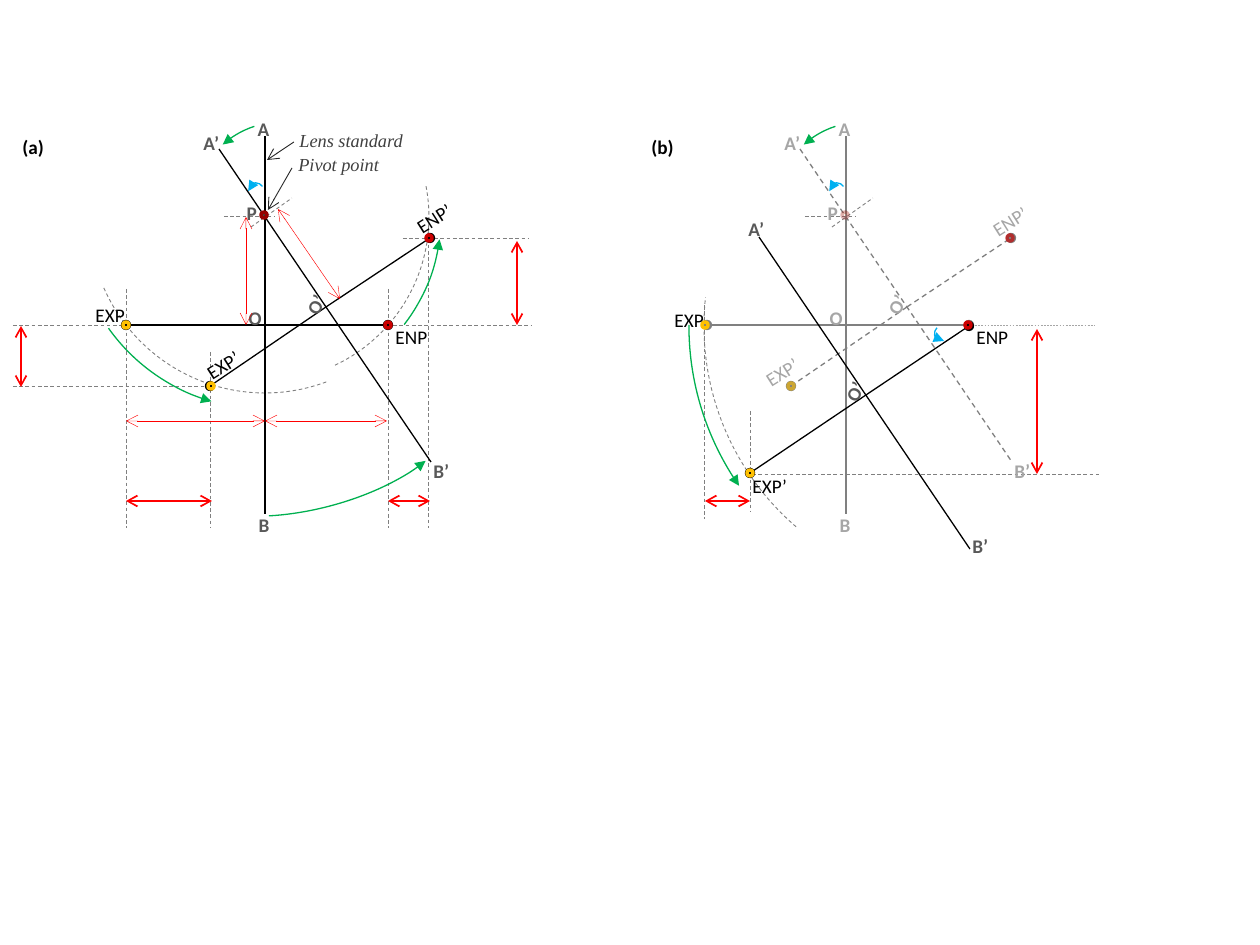
from dataclasses import dataclass
from typing import Any

from lxml import etree
from pptx import Presentation
from pptx import util as u
from pptx.dml.color import RGBColor
from pptx.enum import dml, shapes
from pptx.oxml.ns import qn

PX = 914400 / 126
DASHED = dict(color="808080", width=0.5, dash=True)
GREEN = dict(color="00B050", width=0.75)
BLUE = dict(color="00B0F0", width=0.75)
MEASURE = dict(color="FF0000", head="arrow", tail="arrow")
BLACK, GRAY, DARK, PALE = "000000", "808080", "595959", "A6A6A6"
RED, YELLOW = "CC0000", "FFC000"
PIVOT_STOPS = [(0, "E46C0A"), (50, "FAC090"), (100, "E1E8F5")]


def px(length):
    return u.Emu(round(length * PX))


def rgb(value):
    return RGBColor.from_string(value)


def add_alpha(color_element, percent):
    etree.SubElement(color_element, qn("a:alpha")).set("val", str(percent * 1000))


def set_line(shape, color, width, dash=False, head=None, tail=None, alpha=None):
    line = shape.line
    line.color.rgb = rgb(color)
    line.width = u.Pt(width)
    if dash:
        line.dash_style = dml.MSO_LINE.DASH
    element = shape._element.spPr.find(qn("a:ln"))
    if alpha:
        add_alpha(element.find(".//" + qn("a:srgbClr")), alpha)
    for tag, kind in (("a:headEnd", head), ("a:tailEnd", tail)):
        if kind:
            etree.SubElement(element, qn(tag)).set("type", kind)


@dataclass
class Panel:
    """Draws parts relative to the left and top of one half of the slide."""
    shapes: Any
    left: int
    top: int

    def line(self, x1, y1, x2, y2, color=BLACK, width=0.75, **style):
        connector = self.shapes.add_connector(
            shapes.MSO_CONNECTOR.STRAIGHT, px(self.left + x1), px(self.top + y1),
            px(self.left + x2), px(self.top + y2))
        set_line(connector, color, width, **style)
        etree.SubElement(connector._element.spPr, qn("a:effectLst"))

    def shape(self, kind, x, y, width, height):
        shape = self.shapes.add_shape(
            kind, px(self.left + x), px(self.top + y), px(width), px(height))
        shape.shadow.inherit = False
        shape.fill.background()
        return shape

    def arc(self, box, start, end, rotation=0, flip=False, **style):
        """Angles are in degrees, clockwise from the right."""
        arc = self.shape(shapes.MSO_SHAPE.ARC, *box)
        arc.adjustments[0], arc.adjustments[1] = start * 0.6, end * 0.6
        arc.rotation = rotation
        if flip:
            arc._element.spPr.get_or_add_xfrm().set("flipH", "1")
        set_line(arc, **style)

    def circle_arc(self, x, y, radius, start, end, **style):
        box = (x - radius, y - radius, 2 * radius, 2 * radius)
        self.arc(box, start, end, **style)

    def dot(self, x, y, color, alpha=None, core=False):
        dot = self.shape(shapes.MSO_SHAPE.OVAL, x - 3, y - 3, 6, 6)
        if core:
            dot.fill.solid()
            dot.fill.fore_color.rgb = rgb(BLACK)
        set_line(dot, color, 2, alpha=alpha)
        return dot

    def label(self, text, x, y, width=23, height=34, color=DARK, bold=True,
              rotation=0, size=11, font="Calibri", italic=False):
        box = self.shapes.add_textbox(
            px(self.left + x), px(self.top + y), px(width), px(height))
        box.rotation = rotation
        box.text_frame.word_wrap = True
        para = box.text_frame.paragraphs[0]
        para.text = text
        para.line_spacing = 1.15
        span = para.runs[0].font
        span.name, span.size, span.bold, span.italic = font, u.Pt(size), bold, italic
        span.color.rgb = rgb(color)

    def pupil_label(self, text, x, y, color=BLACK, tilted=False):
        width, height = (63, 39) if tilted else (67, 30)
        self.label(text, x, y, width, height, color, bold=False,
                   rotation=327.6 if tilted else 0)

    def standard_labels(self, a, o, b, color):
        """Labels the ends and the centre of a tilted lens standard."""
        self.label("A’", *a, 44, color=color)
        self.label("O’", *o, 45, color=color, rotation=298)
        self.label("B’", *b, 49, color=color)


def draw_pivot(panel, stop_alphas, line_alpha):
    pivot = panel.dot(264, 215, "960000", line_alpha)
    pivot.fill.gradient()
    pivot.fill.gradient_angle = 270
    stops = pivot._element.spPr.find(".//" + qn("a:gsLst"))
    for old in list(stops):
        stops.remove(old)
    for (position, color), alpha in zip(PIVOT_STOPS, stop_alphas):
        stop = etree.SubElement(stops, qn("a:gs"))
        stop.set("pos", str(position * 1000))
        element = etree.SubElement(stop, qn("a:srgbClr"))
        element.set("val", color)
        add_alpha(element, alpha)


def draw_swing(panel, axis, tilted, letters, dash=False):
    """Draws the lens standard before and after it turns about the pivot."""
    for ends in ((251, 227, 292, 198), (224, 216, 275, 216), (218, 325, 268, 325)):
        panel.line(*ends, **DASHED)
    panel.line(265, 136, 265, 514, axis)
    for pupil in (388, 126):
        panel.line(265, 325, pupil, 325, axis, tail="oval")
    panel.line(219, 149, 431, 462, tilted, dash=dash)
    for pupil in ((430, 238), (210, 386)):
        panel.line(326, 307, *pupil, tilted, dash=dash, tail="oval")
    panel.arc((248, 183, 16, 15), 240.4, 34.7, 29, True, tail="triangle", **BLUE)
    panel.arc((198, 132, 101, 55), 226.8, 296.8, 326.9, True, tail="triangle", **GREEN)
    for text, x, y in (("A", 247, 108), ("B", 248, 504), ("P", 236, 192), ("O", 238, 297)):
        panel.label(text, x, y, color=letters)
    panel.standard_labels((191, 122), (290, 285), (421, 450), letters)
    panel.pupil_label("ENP", 383, 316)


def draw_pivot_swing(panel):
    panel.label("(a)", 10, 126, 53, color=BLACK)
    for ends in ((13, 325, 214, 325), (13, 386, 214, 386), (210, 352, 210, 528),
                 (126, 289, 126, 528), (387, 325, 532, 325), (428, 226, 428, 528),
                 (403, 238, 529, 238), (388, 289, 388, 528)):
        panel.line(*ends, **DASHED)
    panel.circle_arc(265, 217, 176, 69.6, 156.3, **DASHED)
    panel.circle_arc(265, 217, 164, 349.2, 64.8, **DASHED)
    panel.circle_arc(265, 217, 192, 106.2, 144.6, head="triangle", **GREEN)
    panel.circle_arc(265, 217, 176, 7.3, 37.7, head="triangle", **GREEN)
    panel.arc((169, 381, 290, 127), 222.9, 336.9, 165.2, True, tail="triangle", **GREEN)
    draw_swing(panel, BLACK, BLACK, DARK)
    draw_pivot(panel, (31, 32, 10), None)
    for ends in ((387, 421, 265, 421), (265, 421, 126, 421),
                 (246, 217, 246, 325), (278, 209, 340, 299)):
        panel.line(*ends, width=0.25, **MEASURE)
    for ends in ((430, 501, 388, 501), (212, 501, 126, 501),
                 (517, 241, 517, 325), (21, 326, 21, 387)):
        panel.line(*ends, width=1, **MEASURE)
    for text, x, y, width in (("Lens standard", 287, 120, 147), ("Pivot point", 286, 144, 123)):
        panel.label(text, x, y, width, 40, "404040", False, size=10.5,
                    font="Times New Roman", italic=True)
    for ends in ((292, 168, 268, 210), (294, 142, 267, 160)):
        panel.line(*ends, "262626", 0.5, tail="arrow")
    panel.dot(388, 325, RED, core=True)
    panel.dot(429, 238, RED, core=True)
    panel.dot(126, 325, YELLOW)
    panel.dot(211, 386, YELLOW)
    panel.pupil_label("EXP", 83, 294)
    panel.pupil_label("ENP’", 402, 197, tilted=True)
    panel.pupil_label("EXP’", 192, 343, tilted=True)


def draw_pupil_swing(panel):
    panel.circle_arc(388, 326, 265, 130.7, 186.2, **DASHED)
    panel.label("(b)", 58, 126, 53, color=BLACK)
    for ends in ((165, 474, 518, 474), (169, 411, 169, 512), (123, 305, 123, 519)):
        panel.line(*ends, **DASHED)
    panel.line(388, 325, 514, 325, PALE, 0.25, dash=True)
    draw_swing(panel, GRAY, GRAY, PALE, dash=True)
    draw_pivot(panel, (8, 18, 10), 28)
    panel.line(178, 237, 389, 549)
    for pupil in ((388, 326), (169, 473)):
        panel.line(285, 395, *pupil, tail="oval")
    panel.standard_labels((155, 208), (248, 372), (379, 525), DARK)
    panel.arc((353, 326, 16, 15), 240.4, 34.7, 289, True, tail="triangle", **BLUE)
    for ends in ((456, 329, 456, 474), (169, 501, 124, 501)):
        panel.line(*ends, width=1, **MEASURE)
    panel.dot(387, 325, RED, core=True)
    panel.dot(429, 238, RED, alpha=64)
    panel.dot(169, 473, YELLOW)
    panel.dot(124, 325, YELLOW)
    panel.dot(210, 386, YELLOW, alpha=60)
    panel.pupil_label("EXP", 81, 299)
    panel.pupil_label("EXP’", 159, 465)
    panel.pupil_label("ENP’", 397, 200, PALE, tilted=True)
    panel.pupil_label("EXP’", 170, 350, PALE, tilted=True)
    panel.circle_arc(388, 326, 280, 145.2, 180.2, head="triangle", **GREEN)


def main():
    deck = Presentation()
    deck.slide_width, deck.slide_height = px(1260), px(945)
    page = deck.slides.add_slide(deck.slide_layouts[6])
    for draw, left in ((draw_pivot_swing, 0), (draw_pupil_swing, 581)):
        draw(Panel(page.shapes.add_group_shape().shapes, left, 0))
    deck.save("out.pptx")


if __name__ == "__main__":
    main()
